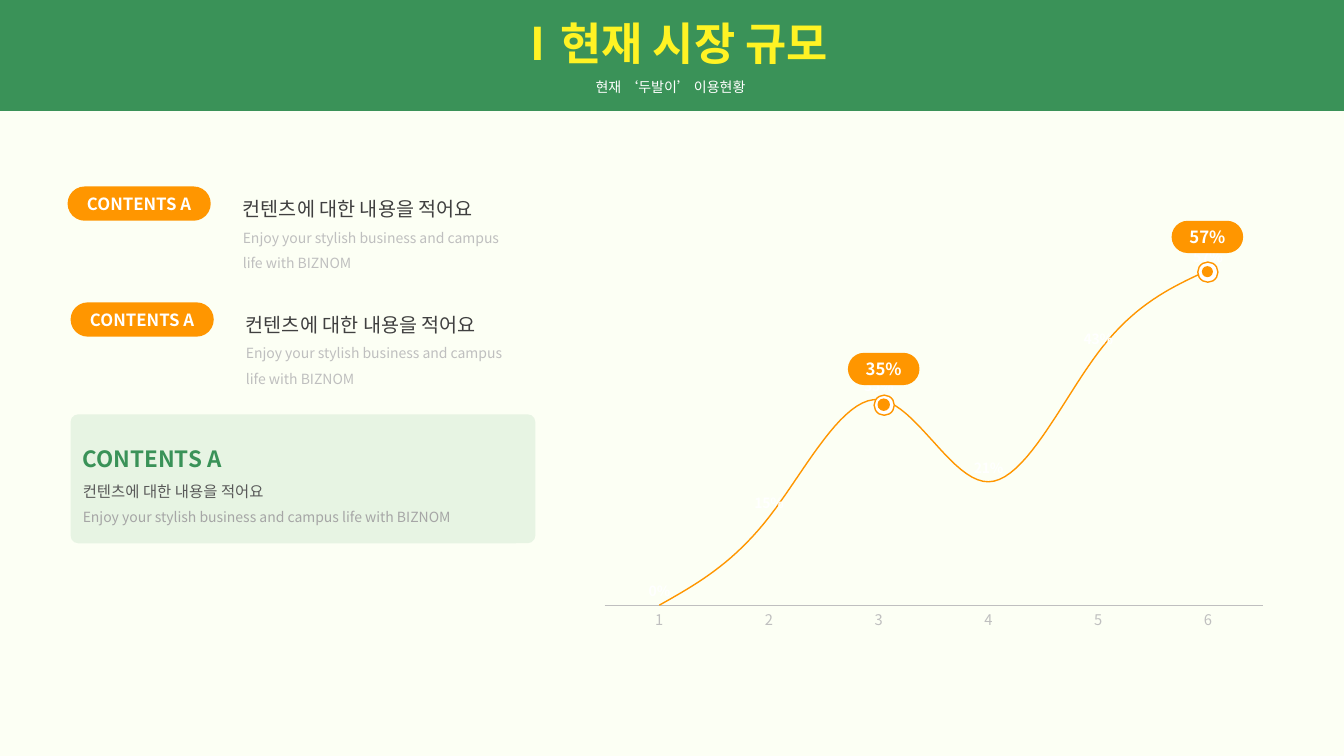
from lxml import etree
from pptx import Presentation
from pptx.chart.data import CategoryChartData
from pptx.dml.color import RGBColor
from pptx.enum.chart import XL_CHART_TYPE, XL_LABEL_POSITION, XL_TICK_MARK
from pptx.enum.shapes import MSO_SHAPE
from pptx.enum.text import MSO_ANCHOR, MSO_AUTO_SIZE, PP_ALIGN
from pptx.oxml.ns import qn
from pptx.util import Inches, Pt

FONT = "Noto Sans CJK KR"
CREAM = RGBColor(0xFC, 0xFF, 0xF4)
GREEN = RGBColor(0x3A, 0x92, 0x58)
MINT = RGBColor(0xE7, 0xF4, 0xE3)
YELLOW = RGBColor(0xFF, 0xF3, 0x24)
ORANGE = RGBColor(0xFF, 0x96, 0x00)
WHITE = RGBColor(0xFF, 0xFF, 0xFF)
DARK = RGBColor(0x40, 0x40, 0x40)
GRAY = RGBColor(0x59, 0x59, 0x59)
MID = RGBColor(0xA6, 0xA6, 0xA6)
PALE = RGBColor(0xBF, 0xBF, 0xBF)
ROUND, OVAL = MSO_SHAPE.ROUNDED_RECTANGLE, MSO_SHAPE.OVAL
LEFT, CENTER = PP_ALIGN.LEFT, PP_ALIGN.CENTER
MIDDLE = MSO_ANCHOR.MIDDLE
NOTE = "컨텐츠에 대한 내용을 적어요"
SLOGAN = "Enjoy your stylish business and campus life with BIZNOM"


def write(frame, text, size, color, bold=False, align=LEFT, space=None):
    """Fill the empty first paragraph, or add one below."""
    para = frame.paragraphs[0]
    if para.runs:
        para = frame.add_paragraph()
    para.alignment = align
    para.line_spacing = space
    run = para.add_run()
    run.text = text
    font = run.font
    font.size, font.bold, font.name = Pt(size), bold, FONT
    font.color.rgb = color
    etree.SubElement(run._r.get_or_add_rPr(), qn("a:ea"), typeface=FONT)


def draw(parent, kind, box, fill, line=None, round=None):
    """Add a flat shape; box is left, top, width, height in inches."""
    shape = parent.add_shape(kind, *[Inches(n) for n in box])
    shape.shadow.inherit = False
    shape.fill.solid()
    shape.fill.fore_color.rgb = fill
    if line is None:
        shape.line.fill.background()
    else:
        shape.line.color.rgb = line
        shape.line.width = Pt(1)
    if round is not None:
        shape.adjustments[0] = round
    shape.text_frame.word_wrap = True
    shape.text_frame.vertical_anchor = MIDDLE
    return shape


deck = Presentation()
deck.slide_width, deck.slide_height = Inches(13.33), Inches(7.5)
slide = deck.slides.add_slide(deck.slide_layouts[5])
slide.background.fill.solid()
slide.background.fill.fore_color.rgb = CREAM
shapes = slide.shapes

# Title band
title = shapes.title
title.left, title.top = Inches(0), Inches(0)
title.width, title.height = Inches(13.33), Inches(1.1)
title.fill.solid()
title.fill.fore_color.rgb = GREEN
frame = title.text_frame
frame.auto_size = MSO_AUTO_SIZE.NONE
frame.vertical_anchor = MIDDLE
write(frame, "Ⅰ현재 시장 규모", 32, YELLOW, bold=True, align=CENTER)
write(frame, "현재 ‘두발이’ 이용현황 ", 10, WHITE, align=CENTER, space=1.5)

# Labelled notes
for left, top in [(0.67, 1.85), (0.7, 3)]:
    pill = draw(shapes, ROUND, (left, top, 1.42, 0.34), ORANGE, round=0.5)
    write(pill.text_frame, "CONTENTS A", 12, WHITE, bold=True, align=CENTER)
    box = shapes.add_textbox(Inches(left + 1.64), Inches(top - 0.06),
                             Inches(2.82), Inches(0.96))
    frame = box.text_frame
    frame.word_wrap = True
    frame.auto_size = MSO_AUTO_SIZE.SHAPE_TO_FIT_TEXT
    write(frame, NOTE, 14, DARK, space=1.5)
    write(frame, SLOGAN, 10, PALE, space=1.5)

# Growth chart
data = CategoryChartData(number_format="0%")
data.categories = ["1", "2", "3", "4", "5", "6"]
data.add_series("Series 1", [0, 0.15, 0.35, 0.21, 0.43, 0.57])
chart = shapes.add_chart(XL_CHART_TYPE.LINE, Inches(5.86), Inches(2.43),
                         Inches(6.8), Inches(3.9), data).chart
chart.has_title = chart.has_legend = False
chart.font.size, chart.font.name = Pt(10), FONT
chart.font.color.rgb = PALE

xaxis = chart.category_axis
xaxis.major_tick_mark = xaxis.minor_tick_mark = XL_TICK_MARK.NONE
xaxis.has_major_gridlines = False
xaxis.format.line.color.rgb = PALE
xaxis.format.line.width = Pt(0.75)
xaxis.tick_labels.font.size = Pt(10.5)
xaxis.tick_labels.font.name = FONT
xaxis.tick_labels.font.color.rgb = PALE

yaxis = chart.value_axis
yaxis.minimum_scale, yaxis.maximum_scale = 0, 0.6
yaxis.has_major_gridlines = False
yaxis.visible = False

plot = chart.plots[0]
plot.vary_by_categories = False
curve = plot.series[0]
curve.smooth = True
curve.format.line.color.rgb = ORANGE
curve.format.line.width = Pt(1)
labels = curve.data_labels
labels.show_value = True
labels.position = XL_LABEL_POSITION.ABOVE
labels.font.size, labels.font.bold = Pt(10), True
labels.font.color.rgb = WHITE

# Marked points
for text, left, top, pill_top, edge in [("35%", 8.67, 3.92, 3.5, ORANGE),
                                        ("57%", 11.88, 2.6, 2.19, None)]:
    pill = draw(shapes, ROUND, (left - 0.26, pill_top, 0.71, 0.32), ORANGE,
                round=0.5)
    write(pill.text_frame, text, 12, WHITE, bold=True, align=CENTER)
    ring = shapes.add_group_shape().shapes
    draw(ring, OVAL, (left, top, 0.2, 0.2), WHITE, line=ORANGE)
    draw(ring, OVAL, (left + 0.04, top + 0.04, 0.11, 0.11), ORANGE, line=edge)

# Summary card
card = draw(shapes, ROUND, (0.7, 4.11, 4.61, 1.28), MINT, round=0.06)
write(card.text_frame, "CONTENTS A", 16, GREEN, bold=True, space=1.5)
write(card.text_frame, NOTE, 11, GRAY, space=1.5)
write(card.text_frame, SLOGAN, 10, MID, space=1.5)

deck.save("out.pptx")
